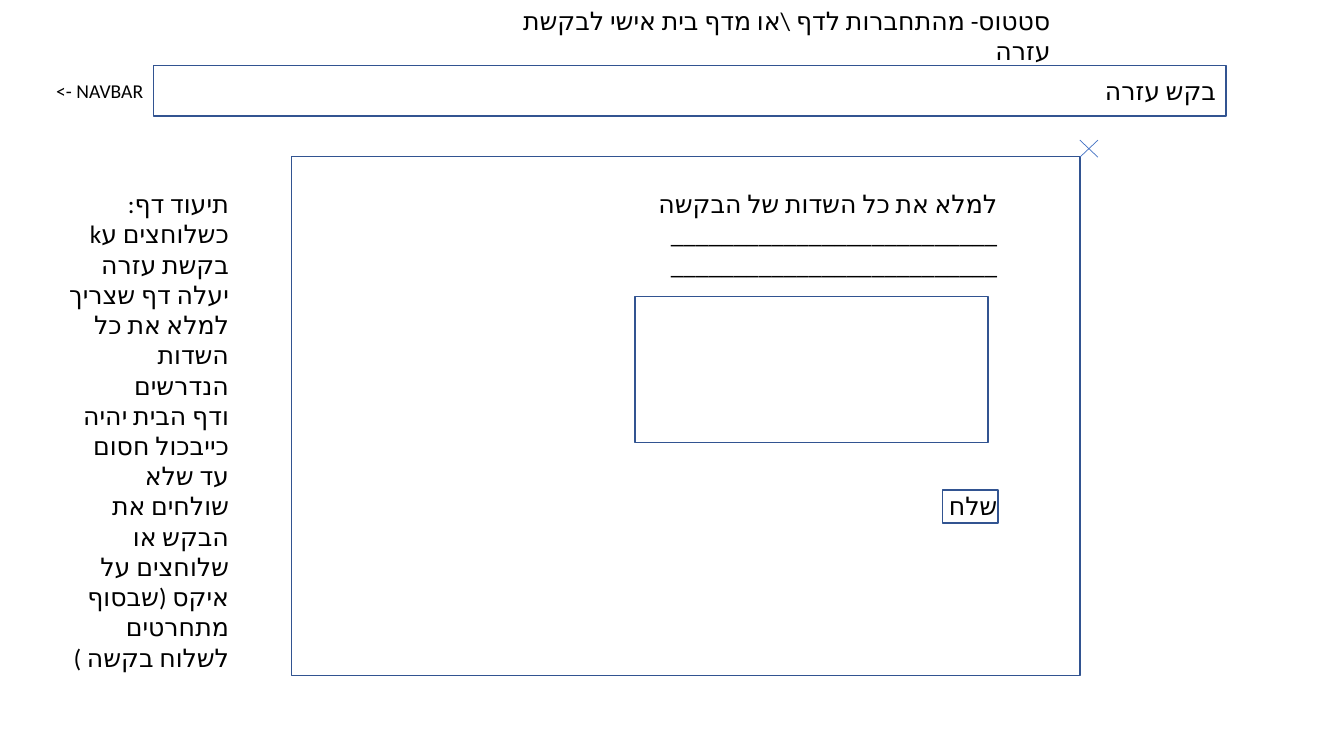
import pptx
import pptx.util
import pptx.dml.color
import pptx.enum.lang
import pptx.enum.shapes
import pptx.enum.text
import pptx.oxml

Inches = pptx.util.Inches
Pt = pptx.util.Pt

THEME = {
    "font": "Calibri",
    "text": "000000",
    "frame": "325491",
    "cross": "4472C4",
    "paper": "FFFFFF",
    "body": 18,
    "label": 14,
    "frame_width": 1,
    "cross_width": 0.5,
}

FIELD_LINE = "_" * 26
SEND_GAP = 151

NAVBAR = (1.52, 0.65, 10.64, 0.5)
DIALOG = (2.89, 1.55, 7.82, 5.15)
DETAILS_FIELD = (6.3, 2.94, 3.5, 1.45)
SEND_BUTTON = (9.35, 4.86, 0.55, 0.33)
FRAMES = [
    (NAVBAR, THEME["paper"]),
    (DIALOG, None),
    (DETAILS_FIELD, None),
    (SEND_BUTTON, None),
]

CLOSE_CROSS = (10.71, 1.39, 0.18, 0.17)

TEXTS = [
    ((4.65, 0, 5.87, 0.4), "body",
     [("סטטוס- מהתחברות לדף \\או מדף בית אישי לבקשת עזרה", 0)]),
    ((-0.04, 0.73, 1.56, 0.34), "label", [("NAVBAR ->", 0)]),
    ((10.71, 0.7, 1.45, 0.4), "body", [("בקש עזרה", 0)]),
    ((3.48, 1.82, 6.51, 4.04), "body", [
        ("למלא את כל השדות של הבקשה", 0),
        (FIELD_LINE, 0),
        (FIELD_LINE, 0),
        ("שלח", SEND_GAP),
    ]),
    ((0.53, 1.82, 1.84, 4.34), "body", [
        ("תיעוד דף:", 0),
        ("כשלוחצים עk בקשת עזרה יעלה דף שצריך למלא את כל השדות הנדרשים", 0),
        ("ודף הבית יהיה כייבכול חסום עד שלא שולחים את הבקש או שלוחצים על "
         "איקס (שבסוף מתחרטים לשלוח בקשה )", 0),
    ]),
]


def rgb(name):
    return pptx.dml.color.RGBColor.from_string(name)


def apply(target, values):
    for name, value in values.items():
        setattr(target, name, value)


def add_frame(slide, place, fill):
    frame = slide.shapes.add_shape(
        pptx.enum.shapes.MSO_SHAPE.RECTANGLE, *map(Inches, place))
    frame.shadow.inherit = False
    if fill:
        frame.fill.solid()
        frame.fill.fore_color.rgb = rgb(fill)
    else:
        frame.fill.background()
    frame.line.color.rgb = rgb(THEME["frame"])
    frame.line.width = Pt(THEME["frame_width"])


def add_stroke(slide, start, end):
    stroke = slide.shapes.add_connector(
        pptx.enum.shapes.MSO_CONNECTOR.STRAIGHT, *map(Inches, start + end))
    stroke.line.color.rgb = rgb(THEME["cross"])
    stroke.line.width = Pt(THEME["cross_width"])
    stroke._element.spPr.append(pptx.oxml.parse_xml(
        '<a:effectLst xmlns:a='
        '"http://schemas.openxmlformats.org/drawingml/2006/main"/>'))


def add_text(slide, place, size, lines):
    frame = slide.shapes.add_textbox(*map(Inches, place)).text_frame
    apply(frame, {
        "word_wrap": True,
        "auto_size": pptx.enum.text.MSO_AUTO_SIZE.SHAPE_TO_FIT_TEXT,
    })
    for index, (words, gap) in enumerate(lines):
        paragraph = frame.add_paragraph() if index else frame.paragraphs[0]
        apply(paragraph, {
            "alignment": pptx.enum.text.PP_ALIGN.RIGHT,
            "space_before": Pt(gap),
        })
        paragraph._p.get_or_add_pPr().set("rtl", "1")
        run = paragraph.add_run()
        run.text = words
        apply(run.font, {
            "name": THEME["font"],
            "size": Pt(THEME[size]),
            "language_id": pptx.enum.lang.MSO_LANGUAGE_ID.HEBREW,
        })
        run.font.color.rgb = rgb(THEME["text"])
        run._r.get_or_add_rPr().append(pptx.oxml.parse_xml(
            '<a:cs xmlns:a='
            '"http://schemas.openxmlformats.org/drawingml/2006/main" '
            f'typeface="{THEME["font"]}"/>'))


def main():
    deck = pptx.Presentation()
    apply(deck, {"slide_width": Inches(13.33), "slide_height": Inches(7.5)})
    slide = deck.slides.add_slide(deck.slide_layouts[6])
    for place, fill in FRAMES:
        add_frame(slide, place, fill)
    left, top, width, height = CLOSE_CROSS
    right, bottom = left + width, top + height
    add_stroke(slide, (left, top), (right, bottom))
    add_stroke(slide, (right, top), (left, bottom))
    for place, size, lines in TEXTS:
        add_text(slide, place, size, lines)
    deck.save("out.pptx")


if __name__ == "__main__":
    main()
